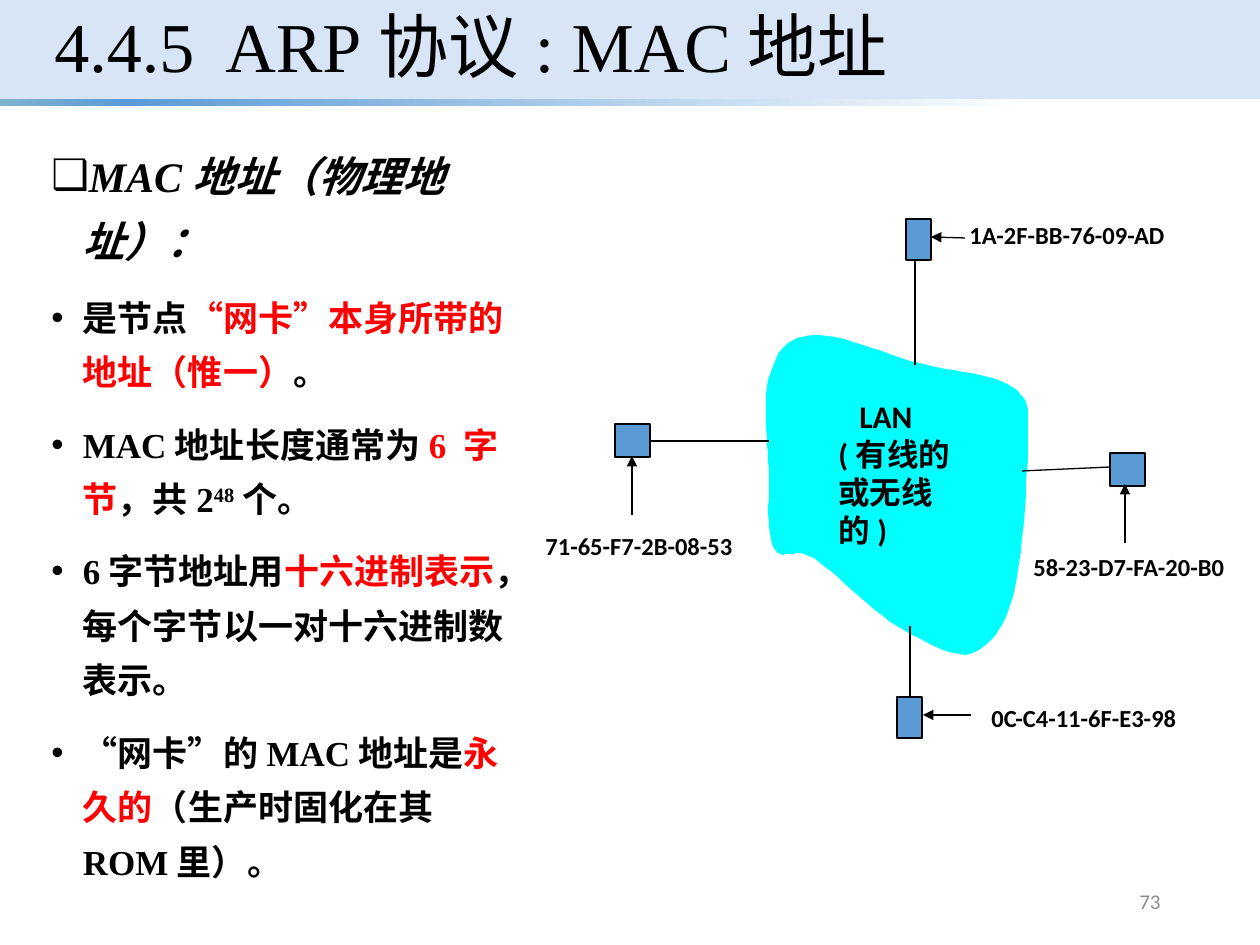
import pptx
import pptx.util
import pptx.dml.color
import pptx.enum.shapes
import pptx.enum.text
import pptx.oxml
import pptx.oxml.ns
from lxml import etree

SCALE = pptx.util.Inches(1) / 126  # EMU in one px
COLORS = {"black": "000000", "red": "FF0000", "gray": "8C8C8C", "band": "C8DAF4",
          "node": "5B9BD5", "cloud": "00FFFF", "teal": "7EB3D0", "white": "FFFFFF"}
qn = pptx.oxml.ns.qn

presentation = pptx.Presentation()
presentation.slide_width = round(1260 * SCALE)
presentation.slide_height = round(945 * SCALE)
slide = presentation.slides.add_slide(presentation.slide_layouts[6])


def add_box(kind, left, top, width, height, fill=None):
    """Add a wrapping text box, or a filled rectangle without outline."""
    place = [round(value * SCALE) for value in (left, top, width, height)]
    if kind == "text":
        shape = slide.shapes.add_textbox(*place)
        shape.text_frame.word_wrap = True
        return shape
    shape = slide.shapes.add_shape(pptx.enum.shapes.MSO_SHAPE.RECTANGLE, *place)
    shape.shadow.inherit = False
    shape.fill.solid()
    shape.fill.fore_color.rgb = pptx.dml.color.RGBColor.from_string(COLORS[fill])
    shape.line.fill.background()
    return shape


def add_run(paragraph, text, size, font, color="black", bold=False, italic=False):
    run = paragraph.add_run()
    run.text = text
    run.font.size = pptx.util.Pt(size)
    run.font.name = font
    run.font.bold = bold
    run.font.italic = italic
    run.font.color.rgb = pptx.dml.color.RGBColor.from_string(COLORS[color])
    return run


# Header band and the fading bar below it
band = add_box("rectangle", 0, 0, 1260, 99, "band")
band_color = band.fill._xPr.find(".//" + qn("a:srgbClr"))
etree.SubElement(band_color, qn("a:alpha"), val="70000")

bar = add_box("rectangle", 0, 99, 1260, 7, "white")
bar.fill.gradient()
bar.fill.gradient_angle = 0
stop_list = bar.fill._xPr.find(".//" + qn("a:gsLst"))
for old_stop in list(stop_list):
    stop_list.remove(old_stop)
for position, color in [(0, "teal"), (10, "node"), (82, "white"), (100, "white")]:
    stop = etree.SubElement(stop_list, qn("a:gs"), pos=str(position * 1000))
    etree.SubElement(stop, qn("a:srgbClr"), val=COLORS[color])

# Slide number
number = add_box("text", 890, 876, 283, 50)
number.text_frame.vertical_anchor = pptx.enum.text.MSO_ANCHOR.MIDDLE
paragraph = number.text_frame.paragraphs[0]
paragraph.alignment = pptx.enum.text.PP_ALIGN.RIGHT
add_run(paragraph, "73", 12, "Calibri", "gray")

# Title
title = add_box("text", 42, 0, 1178, 99)
title.text_frame.vertical_anchor = pptx.enum.text.MSO_ANCHOR.MIDDLE
paragraph = title.text_frame.paragraphs[0]
paragraph.line_spacing = 0.9
add_run(paragraph, "4.4.5  ARP协议: MAC地址", 40, "Times New Roman")

# Bulleted text: each item is a list of (text, color) runs
items = [
    [("MAC地址（物理地址）：", "black")],
    [("是节点", "black"), ("“网卡”本身所带的地址（惟一）", "red"), ("。", "black")],
    [("MAC地址长度通常为", "black"), ("6 字节", "red"), ("，共2", "black"),
     ("48", "black"), ("个。", "black")],
    [("6字节地址用", "black"), ("十六进制表示", "red"),
     ("，每个字节以一对十六进制数表示。", "black")],
    [("“网卡”的MAC地址是", "black"), ("永久的", "red"),
     ("（生产时固化在其ROM里）。", "black")],
]
body = add_box("text", 39, 129, 494, 765).text_frame
for index, runs in enumerate(items):
    heading = index == 0
    paragraph = body.paragraphs[0] if heading else body.add_paragraph()
    properties = paragraph._p.get_or_add_pPr()
    properties.set("marL", "228600")
    properties.set("indent", "-228600")
    etree.SubElement(properties, qn("a:buFont"), typeface="Arial")
    etree.SubElement(properties, qn("a:buChar"), char="❑" if heading else "•")
    paragraph.line_spacing = 1.3
    if not heading:
        paragraph.space_before = pptx.util.Pt(10)
    for text, color in runs:
        run = add_run(paragraph, text, 24 if heading else 20, "Times New Roman",
                      color, bold=True, italic=heading)
        if text == "48":
            run.font._element.set("baseline", "30000")

# LAN cloud: cubic curves, each from the end of the one before, drawn in short steps
start = (813, 335)
curves = [
    ((788, 336), (776, 352), (770, 374)), ((762, 396), (767, 440), (769, 469)),
    ((769, 498), (766, 533), (774, 548)), ((781, 563), (793, 546), (814, 558)),
    ((834, 572), (871, 610), (897, 626)), ((924, 641), (951, 658), (970, 654)),
    ((989, 649), (1003, 629), (1013, 597)), ((1022, 563), (1027, 484), (1028, 449)),
    ((1028, 413), (1032, 402), (1014, 388)), ((995, 373), (951, 372), (919, 363)),
    ((886, 354), (837, 333), start),
]
STEPS = 12
points = []
origin = start
for first, second, end in curves:
    for step in range(1, STEPS + 1):
        t = step / STEPS
        points.append([(1 - t) ** 3 * a + 3 * (1 - t) ** 2 * t * b
                       + 3 * (1 - t) * t ** 2 * c + t ** 3 * d
                       for a, b, c, d in zip(origin, first, second, end)])
    origin = end
builder = slide.shapes.build_freeform(*start, scale=SCALE)
builder.add_line_segments(points, close=True)
cloud = builder.convert_to_shape()
cloud.shadow.inherit = False
cloud.fill.solid()
cloud.fill.fore_color.rgb = pptx.dml.color.RGBColor.from_string(COLORS["cloud"])
cloud.line.fill.background()

# Network nodes
for place in [(1110, 453, 35, 33), (615, 424, 35, 33), (906, 219, 25, 41), (897, 697, 25, 41)]:
    node = add_box("rectangle", *place, "node")
    node.line.color.rgb = pptx.dml.color.RGBColor.from_string(COLORS["black"])
    node.line.width = pptx.util.Pt(0.75)

# Cables to the cloud, then arrows from the addresses
cables = [(650, 441, 769, 441), (915, 261, 915, 365), (1110, 467, 1022, 471), (910, 697, 910, 626)]
arrows = [(965, 238, 931, 237), (1125, 543, 1125, 484), (971, 715, 923, 715), (632, 515, 632, 456)]
for ends in cables + arrows:
    line = slide.shapes.add_connector(pptx.enum.shapes.MSO_CONNECTOR.STRAIGHT,
                                      *[round(value * SCALE) for value in ends])
    line.line.color.rgb = pptx.dml.color.RGBColor.from_string(COLORS["black"])
    line.line.width = pptx.util.Pt(0.75)
    if ends in arrows:
        etree.SubElement(line.line._get_or_add_ln(), qn("a:tailEnd"), type="triangle")
    etree.SubElement(line._element.spPr, qn("a:effectLst"))

# MAC addresses
for text, left, top, width in [("1A-2F-BB-76-09-AD", 957, 214, 226),
                               ("58-23-D7-FA-20-B0", 1021, 546, 226),
                               ("0C-C4-11-6F-E3-98", 979, 697, 214),
                               ("71-65-F7-2B-08-53", 533, 525, 219)]:
    label = add_box("text", left, top, width, 44)
    add_run(label.text_frame.paragraphs[0], text, 14, "Calibri", bold=True)

# Cloud label
lan = add_box("text", 826, 391, 156, 145).text_frame
for index, text in enumerate(["LAN", "(有线的", "或无线的)"]):
    paragraph = lan.add_paragraph() if index else lan.paragraphs[0]
    if index == 0:
        paragraph._p.get_or_add_pPr().set("marL", str(round(21 * SCALE)))
    add_run(paragraph, text, 18, "Calibri", bold=True)

presentation.save("out.pptx")
